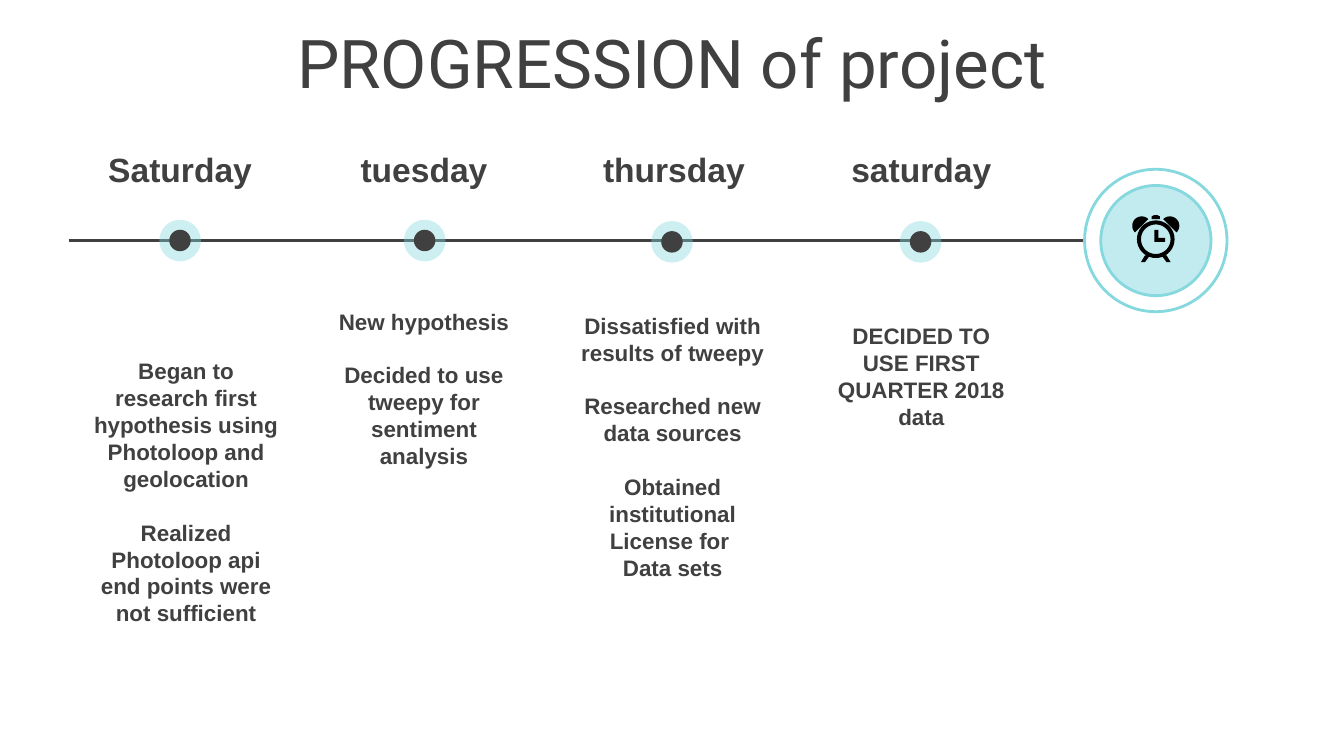
from math import cos, radians, sin

from lxml import etree
from pptx import Presentation
from pptx.dml.color import RGBColor
from pptx.enum import shapes, text
from pptx.oxml.ns import qn
from pptx.util import Inches, Pt

DARK = RGBColor(0x40, 0x40, 0x40)
TEAL = RGBColor(0x85, 0xD8, 0xDE)
WHITE = RGBColor(0xFF, 0xFF, 0xFF)
BLACK = RGBColor(0, 0, 0)

LINE_Y = 1.79

# day, dot centre, heading (left, width), notes box, inset above notes, notes
# Each note is a list of lines.
STAGES = [
    ("Saturday", (1.34, 1.79), (0.48, 1.72), (0.57, 2.09, 1.63, 3.53), 0.57,
     [["Began to research first hypothesis using Photoloop and geolocation"],
      ["Realized Photoloop api end points were not sufficient"]]),
    ("tuesday", (3.16, 1.79), (2.33, 1.65), (2.34, 2.03, 1.63, 1.72), 0.26,
     [["New hypothesis"],
      ["Decided to use tweepy for sentiment analysis"]]),
    ("thursday", (5, 1.8), (4.1, 1.83), (4.18, 1.85, 1.65, 2.73), 0.47,
     [["Dissatisfied with results of tweepy"],
      ["Researched new data sources"],
      ["Obtained institutional", "License for ", "Data sets"]]),
    ("saturday", (6.85, 1.8), (5.94, 1.83), (6.09, 2.34, 1.53, 1.51), 0.06,
     [["DECIDED TO USE FIRST QUARTER 2018 data"]]),
]


def write(paragraph, words, size, font="Arial", bold=True):
    paragraph.alignment = text.PP_ALIGN.CENTER
    run = paragraph.add_run()
    run.text = words
    run.font.name, run.font.size, run.font.bold = font, Pt(size), bold
    run.font.color.rgb = DARK


def add_text_frame(slide, box, anchor):
    frame = slide.shapes.add_textbox(*map(Inches, box)).text_frame
    frame.word_wrap = True
    frame.vertical_anchor = anchor
    return frame


def add_circle(group, centre, diameter, fill, opacity=100, outline=None):
    left, top = (c - diameter / 2 for c in centre)
    circle = group.shapes.add_shape(
        shapes.MSO_SHAPE.OVAL, *map(Inches, (left, top, diameter, diameter)))
    circle.shadow.inherit = False
    circle.fill.solid()
    circle.fill.fore_color.rgb = fill
    if opacity < 100:
        color = circle._element.spPr.find(qn("a:solidFill"))[0]
        etree.SubElement(color, qn("a:alpha")).set("val", str(opacity * 1000))
    if outline:
        circle.line.color.rgb = outline
        circle.line.width = Pt(1.5)
    else:
        circle.line.fill.background()


def add_title(slide, box, words):
    title = slide.shapes.title
    title.left, title.top, title.width, title.height = map(Inches, box)
    title.text_frame.vertical_anchor = text.MSO_ANCHOR.MIDDLE
    write(title.text_frame.paragraphs[0], words, 36, "Roboto", False)


def add_timeline(slide, left, right, y):
    line = slide.shapes.add_connector(
        shapes.MSO_CONNECTOR.STRAIGHT, *map(Inches, (left, y, right, y)))
    line.line.color.rgb = DARK
    line.line.width = Pt(2)
    etree.SubElement(line._element.spPr, qn("a:effectLst"))


def add_stage(slide, day, dot, heading, notes_box, inset, notes):
    marker = slide.shapes.add_group_shape()
    add_circle(marker, dot, 0.31, TEAL, opacity=40)
    add_circle(marker, dot, 0.16, DARK)

    left, width = heading
    day_frame = add_text_frame(slide, (left, 1.06, width, 0.4),
                               text.MSO_ANCHOR.MIDDLE)
    write(day_frame.paragraphs[0], day, 18)

    frame = add_text_frame(slide, notes_box, text.MSO_ANCHOR.TOP)
    frame.margin_top = Inches(inset)
    for n, note in enumerate(notes):
        for i, words in enumerate(note):
            first = n == i == 0
            paragraph = frame.paragraphs[0] if first else frame.add_paragraph()
            if n and i == 0:
                paragraph.space_before = Pt(14.4)
            write(paragraph, words, 12)


def arc(x, y, radius, start, end, step=10):
    return [(x + radius * cos(radians(a)), y + radius * sin(radians(a)))
            for a in range(start, end + 1, step)]


def mirror(points):
    return [(-x, y) for x, y in points]


def add_alarm_clock(slide, centre):
    bell = arc(-0.105, -0.1, 0.07, 135, 315)
    leg = [(-0.08, 0.12), (-0.11, 0.17), (-0.08, 0.17), (-0.05, 0.13)]
    hands = [(-0.01, -0.07), (0.02, -0.07), (0.02, -0.01),
             (0.07, -0.01), (0.07, 0.02), (-0.01, 0.02)]
    knob = [(-0.03, -0.15), (-0.03, -0.17), (-0.01, -0.18),
            (0.01, -0.18), (0.03, -0.17), (0.03, -0.15)]
    contours = [arc(0, 0, 0.14, 0, 360), arc(0, 0, 0.11, 0, 360), hands, knob,
                bell, mirror(bell), leg, mirror(leg)]
    outlines = [[(Inches(centre[0] + x), Inches(centre[1] + y))
                 for x, y in contour] for contour in contours]

    builder = slide.shapes.build_freeform(*outlines[0][0])
    for i, outline in enumerate(outlines):
        if i:
            builder.move_to(*outline[0])
        builder.add_line_segments(outline[1:], close=True)
    clock = builder.convert_to_shape()
    clock.shadow.inherit = False
    clock.fill.solid()
    clock.fill.fore_color.rgb = BLACK
    clock.line.fill.background()


def add_finish(slide, centre):
    badge = slide.shapes.add_group_shape()
    add_circle(badge, centre, 1.06, WHITE, outline=TEAL)
    add_circle(badge, centre, 0.82, TEAL, opacity=50, outline=TEAL)
    add_alarm_clock(slide, (centre[0], centre[1] - 0.01))


def main():
    deck = Presentation()
    deck.slide_width = Inches(10)
    deck.slide_height = deck.slide_width * 9 // 16
    slide = deck.slides.add_slide(deck.slide_layouts[5])
    add_title(slide, (0, 0.14, 10, 0.63), "PROGRESSION of project")
    add_timeline(slide, 0.51, 8.29, LINE_Y)
    add_finish(slide, (8.6, LINE_Y))
    for stage in STAGES:
        add_stage(slide, *stage)
    deck.save("out.pptx")


if __name__ == "__main__":
    main()
